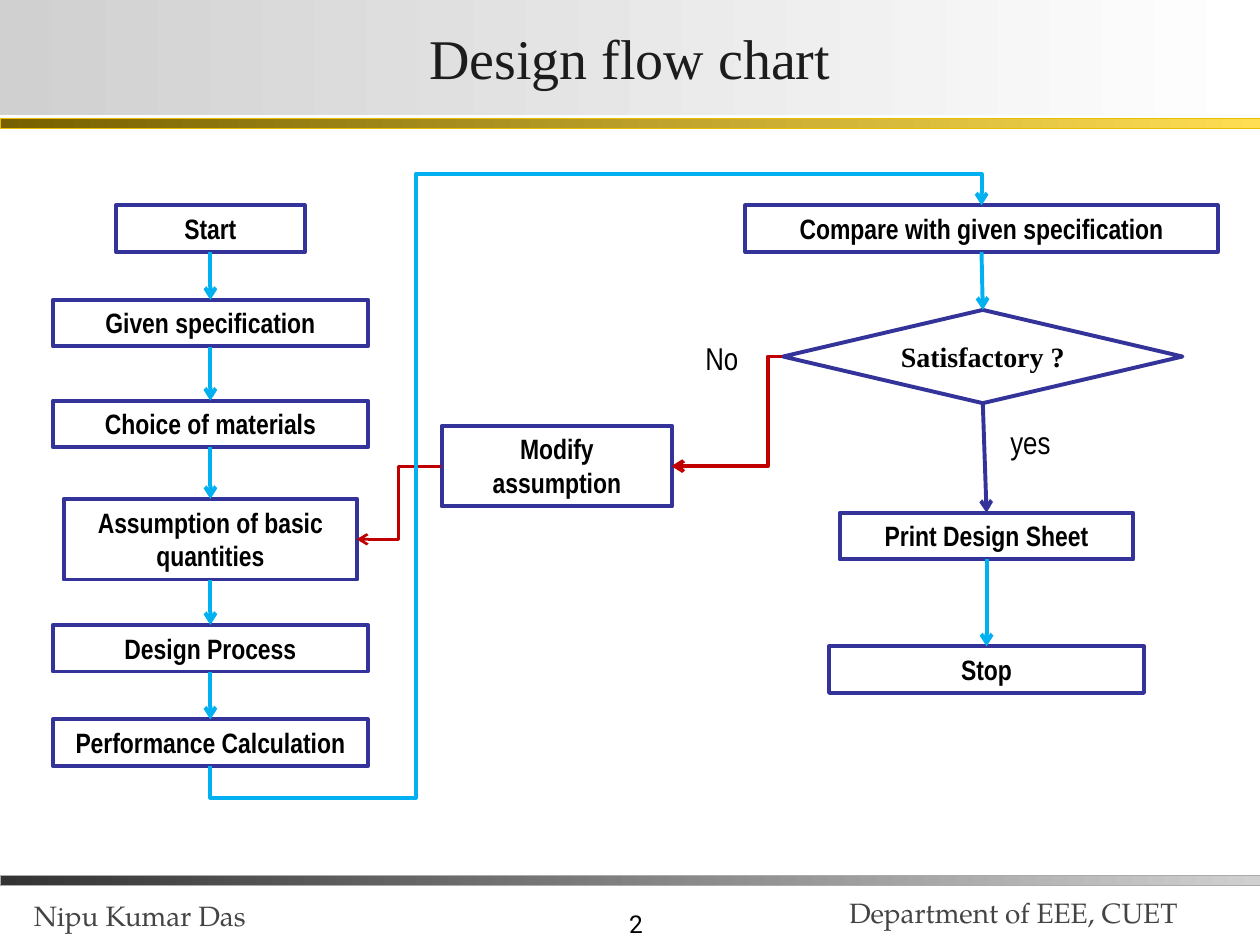
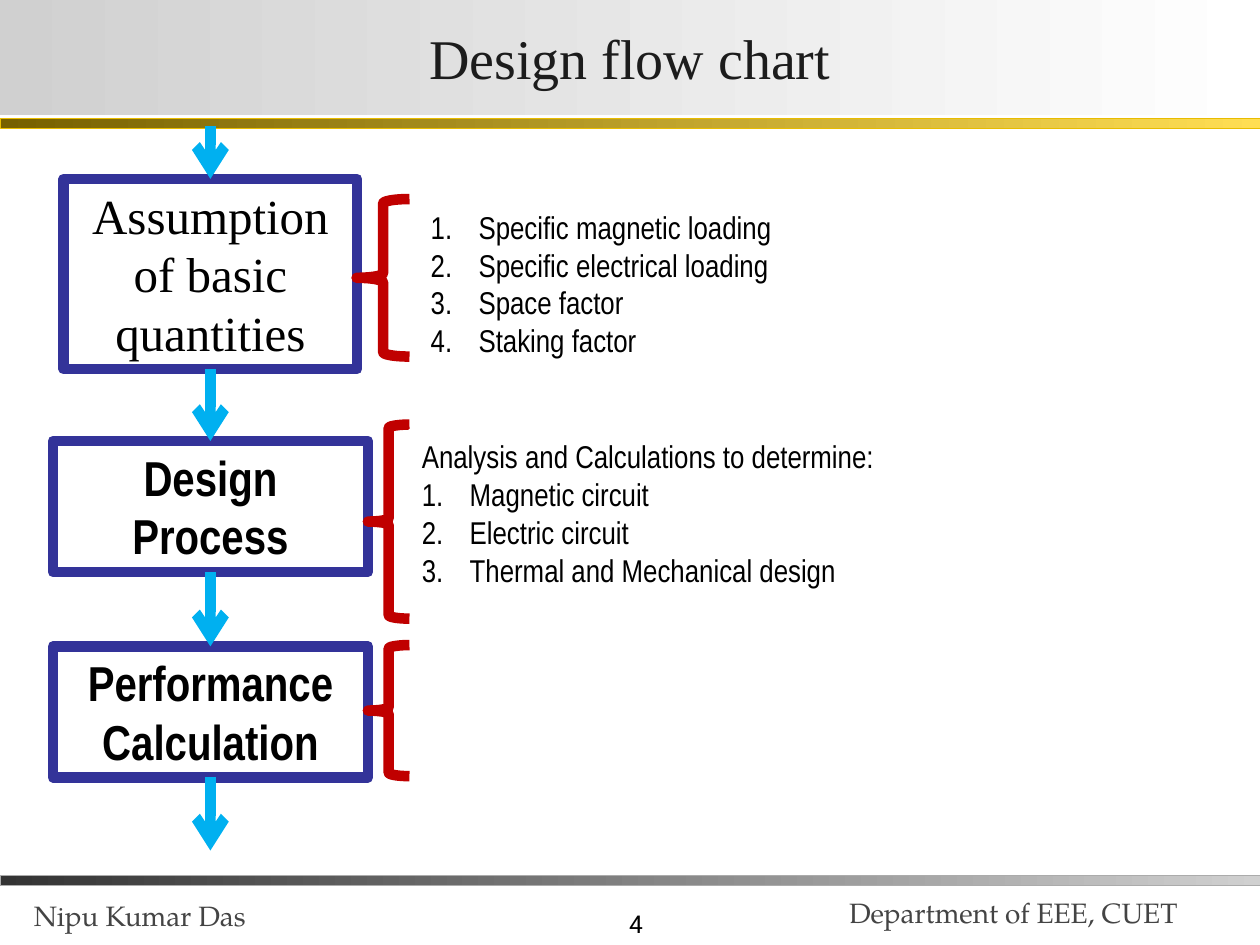
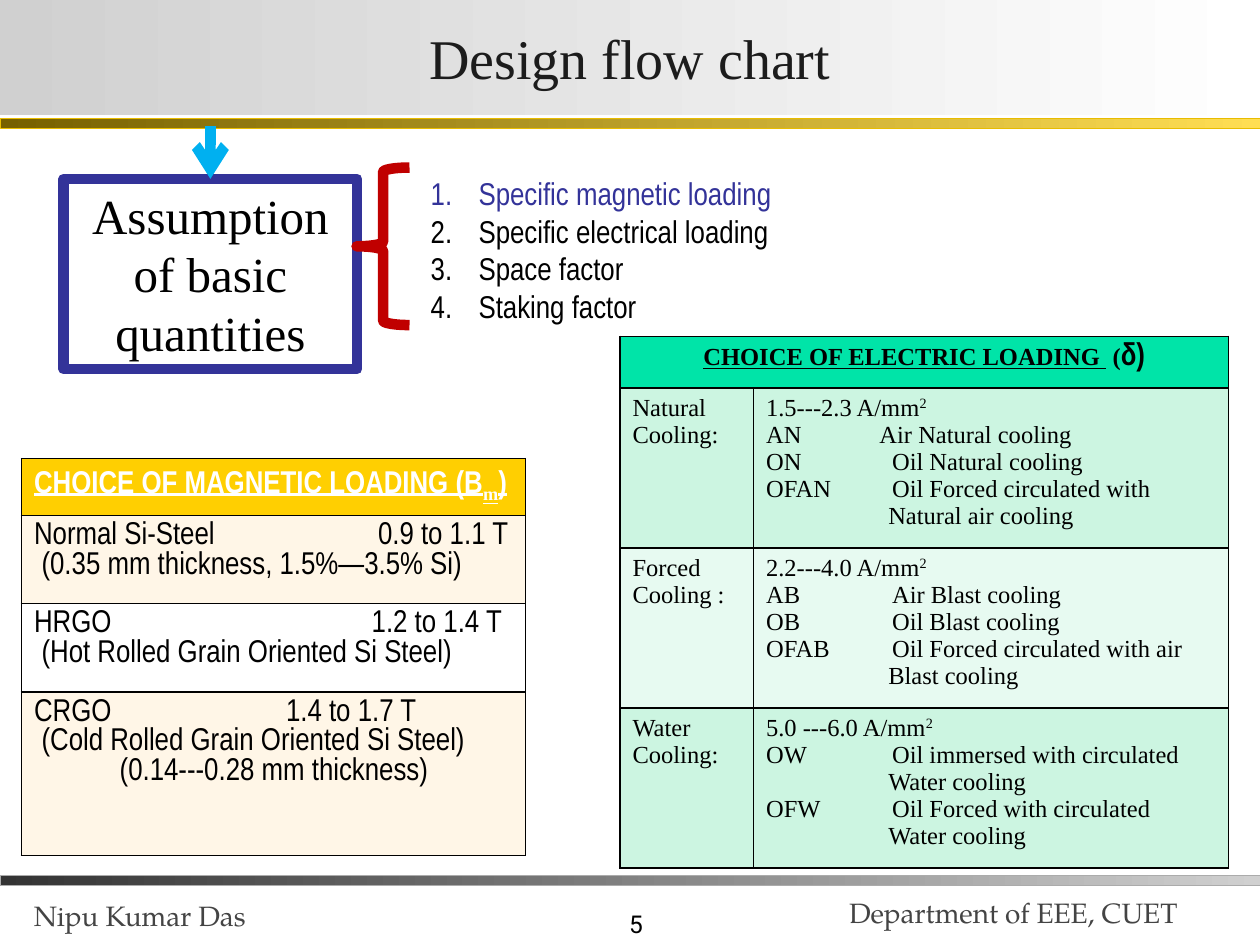
from dataclasses import dataclass
from itertools import pairwise
from typing import Any, NamedTuple, Optional

from lxml import etree
from pptx import Presentation
from pptx import util as u
from pptx.dml.color import RGBColor
from pptx.enum import shapes, text
from pptx.oxml import ns

NAVY = RGBColor(0x33, 0x33, 0x99)
SKY = RGBColor(0x00, 0xB0, 0xF0)
RED = RGBColor(0xC0, 0x00, 0x00)
BLACK = RGBColor(0x00, 0x00, 0x00)
WHITE = RGBColor(0xFF, 0xFF, 0xFF)
INK = RGBColor(0x1C, 0x1C, 0x1C)
FOOTER_GRAY = RGBColor(0x44, 0x44, 0x44)
DARK = RGBColor(0x33, 0x33, 0x33)
SILVER = RGBColor(0xD0, 0xD0, 0xD0)
GRAY_EDGE = RGBColor(0xAB, 0xAB, 0xAB)
DARK_GOLD = RGBColor(0x76, 0x60, 0x00)
LIGHT_GOLD = RGBColor(0xFF, 0xDE, 0x53)
GOLD_EDGE = RGBColor(0xE8, 0xBC, 0x00)
AMBER = RGBColor(0xFF, 0xCF, 0x01)
CREAM = RGBColor(0xFF, 0xF6, 0xE7)
GREEN = RGBColor(0x00, 0xE4, 0xA8)
MINT = RGBColor(0xCC, 0xF5, 0xE1)
PALE_MINT = RGBColor(0xE7, 0xFA, 0xF1)

NARROW = "Arial Narrow"
TIMES = "Times New Roman"
LEFT, CENTER, RIGHT = text.PP_ALIGN.LEFT, text.PP_ALIGN.CENTER, text.PP_ALIGN.RIGHT
TOP, MIDDLE, BOTTOM = text.MSO_ANCHOR.TOP, text.MSO_ANCHOR.MIDDLE, text.MSO_ANCHOR.BOTTOM
Kind = shapes.MSO_SHAPE
Point = tuple[float, float]


class Style(NamedTuple):
    face: str
    size: float
    color: RGBColor = BLACK
    bold: bool = False
    underline: bool = False


class Span(NamedTuple):
    text: str
    style: Optional[Style] = None
    baseline: int = 0


class Para(NamedTuple):
    spans: tuple[Span, ...]
    indent: float = 0
    tab: float = 0
    numbered: bool = False
    style: Optional[Style] = None


TITLE = Style(TIMES, 32, INK)
FOOTER = Style("TeX Gyre Pagella", 16, FOOTER_GRAY)
PAGE_NUMBER = Style("Roboto", 14)
STEP = Style(NARROW, 16, bold=True)
DECISION = Style(TIMES, 16, bold=True)
BIG_STEP = Style(NARROW, 28, bold=True)
BIG_SERIF = Style(TIMES, 28)
BODY = Style(NARROW, 18)
HIGHLIGHT = Style(NARROW, 18, NAVY)
MAGNETIC_HEAD = Style(NARROW, 18, WHITE, True, True)
ELECTRIC = Style(TIMES, 14)
ELECTRIC_HEAD = Style(TIMES, 14, bold=True, underline=True)


@dataclass(frozen=True)
class FlowBox:
    label: str
    center: float
    top: float
    width: float
    height: float = 0.37
    style: Style = STEP
    line: float = 2.25
    kind: Any = Kind.RECTANGLE

    @property
    def left(self) -> float:
        return self.center - self.width / 2

    @property
    def foot(self) -> Point:
        return self.center, self.top + self.height

    @property
    def head(self) -> Point:
        return self.center, self.top


@dataclass(frozen=True)
class Grid:
    left: float
    top: float
    columns: tuple[float, ...]
    heights: tuple[float, ...]
    fills: tuple[RGBColor, ...]
    style: Style


def para(words: str, **options: Any) -> Para:
    return Para((Span(words),), **options)


def set_font(font: Any, style: Style) -> None:
    font.name, font.size = style.face, u.Pt(style.size)
    font.bold, font.underline = style.bold, style.underline
    font.color.rgb = style.color


def add_child(parent: Any, tag: str, **attributes: Any) -> Any:
    values = {key: str(value) for key, value in attributes.items()}
    return etree.SubElement(parent, ns.qn(tag), values)


def write(frame: Any, paras: list[Para], style: Style, align: Any = LEFT, anchor: Any = TOP) -> None:
    frame.word_wrap = True
    frame.vertical_anchor = anchor
    for index, item in enumerate(paras):
        paragraph = frame.paragraphs[0] if index == 0 else frame.add_paragraph()
        paragraph.alignment = align
        props = paragraph._p.get_or_add_pPr()
        if item.indent:
            props.set("marL", str(u.Inches(item.indent)))
        if item.numbered:
            props.set("indent", str(-u.Inches(item.indent)))
            add_child(props, "a:buAutoNum", type="arabicPeriod")
        if item.tab:
            tabs = add_child(props, "a:tabLst")
            add_child(tabs, "a:tab", pos=u.Inches(item.tab), algn="l")
        set_font(paragraph.font, item.style or style)
        for part in item.spans:
            span = paragraph.add_run()
            span.text = part.text
            if part.style:
                set_font(span.font, part.style)
            if part.baseline:
                span._r.get_or_add_rPr().set("baseline", str(part.baseline * 1000))


def add_text(page: Any, at: tuple[float, ...], words: str, style: Style,
             align: Any = LEFT, anchor: Any = TOP) -> None:
    box = page.shapes.add_textbox(*map(u.Inches, at))
    write(box.text_frame, [para(words)], style, align, anchor)


def add_outline(page: Any, kind: Any, at: tuple[float, ...], color: RGBColor, width: float) -> Any:
    """Add an unfilled preset shape."""
    shape = page.shapes.add_shape(kind, *map(u.Inches, at))
    shape.shadow.inherit = False
    shape.fill.background()
    shape.line.color.rgb = color
    shape.line.width = u.Pt(width)
    return shape


def set_gradient(shape: Any, start: RGBColor, end: RGBColor) -> None:
    shape.fill.gradient()
    shape.fill.gradient_angle = 0
    for stop, color in zip(shape.fill.gradient_stops, (start, end)):
        stop.color.rgb = color


def add_band(page: Any, top: float, start: RGBColor, end: RGBColor, edge: RGBColor) -> None:
    band = add_outline(page, Kind.RECTANGLE, (0, top, 10, 0.08), edge, 0.25)
    set_gradient(band, start, end)


def add_page(deck: Any, number: int) -> Any:
    """Add a page with the shared title, bands and footer."""
    page = deck.slides.add_slide(deck.slide_layouts[5])
    title = page.shapes.title
    title.left, title.top, title.width, title.height = map(u.Inches, (0, 0, 10, 0.91))
    set_gradient(title, SILVER, WHITE)
    frame = title.text_frame
    frame.margin_left = frame.margin_right = u.Inches(0.02)
    frame.margin_top = frame.margin_bottom = u.Inches(0.01)
    write(frame, [para("Design flow chart")], TITLE, CENTER, MIDDLE)
    add_band(page, 6.95, DARK, SILVER, GRAY_EDGE)
    add_band(page, 0.94, DARK_GOLD, LIGHT_GOLD, GOLD_EDGE)
    add_text(page, (3.12, 7, 2.08, 0.5), str(number), PAGE_NUMBER, RIGHT, BOTTOM)
    add_text(page, (6.64, 6.8, 3.3, 0.62), "Department of EEE, CUET", FOOTER, anchor=BOTTOM)
    add_text(page, (0.17, 6.83, 3.44, 0.62), "Nipu Kumar Das", FOOTER, anchor=BOTTOM)
    return page


def add_flow_box(page: Any, box: FlowBox) -> None:
    at = (box.left, box.top, box.width, box.height)
    shape = add_outline(page, box.kind, at, NAVY, box.line)
    write(shape.text_frame, [para(box.label)], box.style, CENTER)


def style_arrow(line: Any, color: RGBColor, width: float) -> None:
    line.color.rgb = color
    line.width = u.Pt(width)
    add_child(line._get_or_add_ln(), "a:tailEnd", type="arrow")


def add_arrow(page: Any, start: Point, end: Point, color: RGBColor = SKY,
              width: float = 2.25, bend: Optional[float] = None) -> None:
    """Add an arrow; bend is the share of the way at which an elbow turns."""
    kind = shapes.MSO_CONNECTOR.STRAIGHT if bend is None else shapes.MSO_CONNECTOR.ELBOW
    arrow = page.shapes.add_connector(kind, *map(u.Inches, (*start, *end)))
    style_arrow(arrow.line, color, width)
    props = arrow._element.spPr
    add_child(props, "a:effectLst")
    if bend is not None:
        guides = props.find(".//" + ns.qn("a:avLst"))
        add_child(guides, "a:gd", name="adj1", fmla=f"val {round(bend * 100000)}")


def add_route(page: Any, points: list[Point]) -> None:
    """Add an arrow that runs through all the points."""
    corners = [(u.Inches(x), u.Inches(y)) for x, y in points]
    builder = page.shapes.build_freeform(*corners[0])
    builder.add_line_segments(corners[1:], close=False)
    route = builder.convert_to_shape()
    route.shadow.inherit = False
    route.fill.background()
    style_arrow(route.line, SKY, 2.25)


def add_chain(page: Any, boxes: list[FlowBox]) -> None:
    for box in boxes:
        add_flow_box(page, box)
    for upper, lower in pairwise(boxes):
        color = NAVY if upper.kind == Kind.FLOWCHART_DECISION else SKY
        add_arrow(page, upper.foot, lower.head, color, upper.line)


def add_brace(page: Any, left: float, top: float, height: float) -> None:
    add_outline(page, Kind.LEFT_BRACE, (left, top, 3.25 - left, height), RED, 6)


def add_notes_box(page: Any, at: tuple[float, ...], paras: list[Para]) -> None:
    box = add_outline(page, Kind.RECTANGLE, at, WHITE, 2)
    box.fill.solid()
    box.fill.fore_color.rgb = WHITE
    write(box.text_frame, paras, BODY)


def numbered(*items: str) -> list[Para]:
    return [para(item, indent=0.38, numbered=True) for item in items]


def add_grid(page: Any, grid: Grid, rows: list[list[list[Para]]]) -> None:
    """Add a table; a row with too few cells is merged into one."""
    size = (sum(grid.columns), sum(grid.heights))
    frame = page.shapes.add_table(len(rows), len(grid.columns), *map(u.Inches, (grid.left, grid.top, *size)))
    table = frame.table
    table.first_row = table.horz_banding = False
    for column, width in zip(table.columns, grid.columns):
        column.width = u.Inches(width)
    for r, cells in enumerate(rows):
        table.rows[r].height = u.Inches(grid.heights[r])
        for c in range(len(grid.columns)):
            cell = table.cell(r, c)
            for side in "LRTB":
                line = add_child(cell._tc.get_or_add_tcPr(), f"a:ln{side}", w=u.Pt(1))
                add_child(add_child(line, "a:solidFill"), "a:srgbClr", val=BLACK)
            cell.fill.solid()
            cell.fill.fore_color.rgb = grid.fills[r]
        for c, paras in enumerate(cells):
            align = CENTER if len(cells) < len(grid.columns) else LEFT
            write(table.cell(r, c).text_frame, paras, grid.style, align)
        if len(cells) < len(grid.columns):
            table.cell(r, 0).merge(table.cell(r, len(grid.columns) - 1))


def cooling(density: str, *lines: str) -> list[Para]:
    """Current density, then codes with their meaning; lines without a code continue."""
    first = Para((Span(density + " A/mm"), Span("2", baseline=30)))
    return [first] + [para(line, tab=1) if "\t" in line else para(line, indent=0.97) for line in lines]


ASSUMPTION = FlowBox("Assumption of basic quantities", 1.67, 1.42, 2.33, 1.51, BIG_SERIF, 6)
FACTORS = numbered("Specific magnetic loading", "Specific electrical loading",
                   "Space factor", "Staking factor")


def build_overview(deck: Any) -> None:
    page = add_page(deck, 2)
    steps = [
        FlowBox("Start", 1.67, 1.63, 1.5),
        FlowBox("Given specification", 1.67, 2.38, 2.5),
        FlowBox("Choice of materials", 1.67, 3.18, 2.5),
        FlowBox("Assumption of basic quantities", 1.67, 3.96, 2.33, 0.64),
        FlowBox("Design Process", 1.67, 4.96, 2.5),
        FlowBox("Performance Calculation", 1.67, 5.71, 2.5),
    ]
    checks = [
        FlowBox("Compare with given specification", 7.79, 1.63, 3.75),
        FlowBox("Satisfactory ?", 7.8, 2.46, 3.17, 0.74, DECISION, kind=Kind.FLOWCHART_DECISION),
        FlowBox("Print Design Sheet", 7.83, 4.07, 2.33),
        FlowBox("Stop", 7.83, 5.13, 2.5),
    ]
    add_chain(page, steps)
    add_chain(page, checks)
    add_flow_box(page, FlowBox("Modify assumption", 4.42, 3.38, 1.83, 0.64))
    add_arrow(page, (6.21, 2.83), (5.33, 3.7), RED, bend=0.13)
    add_arrow(page, (3.5, 3.7), (2.83, 4.28), RED, 1.5, bend=0.5)
    add_text(page, (5.5, 2.64, 0.5, 0.4), "No", BODY)
    add_text(page, (7.92, 3.31, 0.67, 0.4), "yes", BODY)
    entry = checks[0].head
    add_route(page, [steps[-1].foot, (1.67, 6.33), (3.3, 6.33), (3.3, 1.38), (entry[0], 1.38), entry])


def build_details(deck: Any) -> None:
    page = add_page(deck, 4)
    steps = [
        ASSUMPTION,
        FlowBox("Design Process", 1.67, 3.5, 2.5, 1.04, BIG_STEP, 6),
        FlowBox("Performance Calculation", 1.67, 5.13, 2.5, 1.04, BIG_STEP, 6),
    ]
    add_chain(page, steps)
    add_arrow(page, (1.67, 1), ASSUMPTION.head, width=6)
    add_arrow(page, steps[-1].foot, (1.67, 6.75), width=6)
    for left, top, height in ((2.83, 1.58, 1.25), (2.92, 3.37, 1.54), (2.92, 5.12, 1.04)):
        add_brace(page, left, top, height)
    add_notes_box(page, (3.32, 1.6, 2.93, 1.31), FACTORS)
    analysis = numbered("Magnetic circuit", "Electric circuit", "Thermal and Mechanical design")
    add_notes_box(page, (3.25, 3.42, 3.83, 1.31),
                  [para("Analysis and Calculations to determine:"), *analysis])


def build_loadings(deck: Any) -> None:
    page = add_page(deck, 5)
    add_flow_box(page, ASSUMPTION)
    add_arrow(page, (1.67, 1), ASSUMPTION.head, width=6)
    add_brace(page, 2.83, 1.33, 1.25)
    add_notes_box(page, (3.32, 1.33, 2.93, 1.31), [FACTORS[0]._replace(style=HIGHLIGHT), *FACTORS[1:]])

    subscript = Span("m", MAGNETIC_HEAD._replace(face=TIMES), -25)
    magnetic_head = Para((Span("CHOICE OF MAGNETIC LOADING (B"), subscript, Span(")")), style=MAGNETIC_HEAD)
    magnetic = Grid(0.17, 3.64, (4,), (0.45, 0.7, 0.7, 1.3), (AMBER, CREAM, WHITE, CREAM), BODY)
    add_grid(page, magnetic, [
        [[magnetic_head]],
        [[para("Normal Si-Steel\t0.9 to 1.1 T", tab=2.73),
          para("(0.35 mm thickness, 1.5%—3.5% Si)", indent=0.06)]],
        [[para("HRGO\t1.2 to 1.4 T", tab=2.68),
          para("(Hot Rolled Grain Oriented Si Steel)", indent=0.06)]],
        [[para("CRGO\t1.4 to 1.7 T", tab=2),
          para("(Cold Rolled Grain Oriented Si Steel)", indent=0.06),
          para("(0.14---0.28 mm thickness)", indent=0.68)]],
    ])

    plain = ELECTRIC_HEAD._replace(underline=False)
    electric_head = Para((Span("CHOICE OF ELECTRIC LOADING "), Span(" (", plain),
                          Span("δ)", plain._replace(face=NARROW, size=18))), style=ELECTRIC_HEAD)
    natural = cooling("1.5---2.3", "AN\tAir Natural cooling", "ON\tOil Natural cooling",
                      "OFAN\tOil Forced circulated with", "Natural air cooling")
    natural[1] = natural[1]._replace(tab=0.9)
    electric = Grid(4.92, 2.67, (1.06, 3.77), (0.41, 1.27, 1.27, 1.26),
                    (GREEN, MINT, PALE_MINT, MINT), ELECTRIC)
    add_grid(page, electric, [
        [[electric_head]],
        [[para("Natural Cooling:")], natural],
        [[para("Forced Cooling :")],
         cooling("2.2---4.0", "AB\tAir Blast cooling", "OB\tOil Blast cooling",
                 "OFAB\tOil Forced circulated with air", "Blast cooling")],
        [[para("Water Cooling:")],
         cooling("5.0 ---6.0", "OW\tOil immersed with circulated", "Water cooling",
                 "OFW\tOil Forced with circulated", "Water cooling")],
    ])


def main() -> None:
    deck = Presentation()
    deck.slide_width, deck.slide_height = u.Inches(10), u.Inches(7.5)
    build_overview(deck)
    build_details(deck)
    build_loadings(deck)
    deck.save("out.pptx")


if __name__ == "__main__":
    main()
